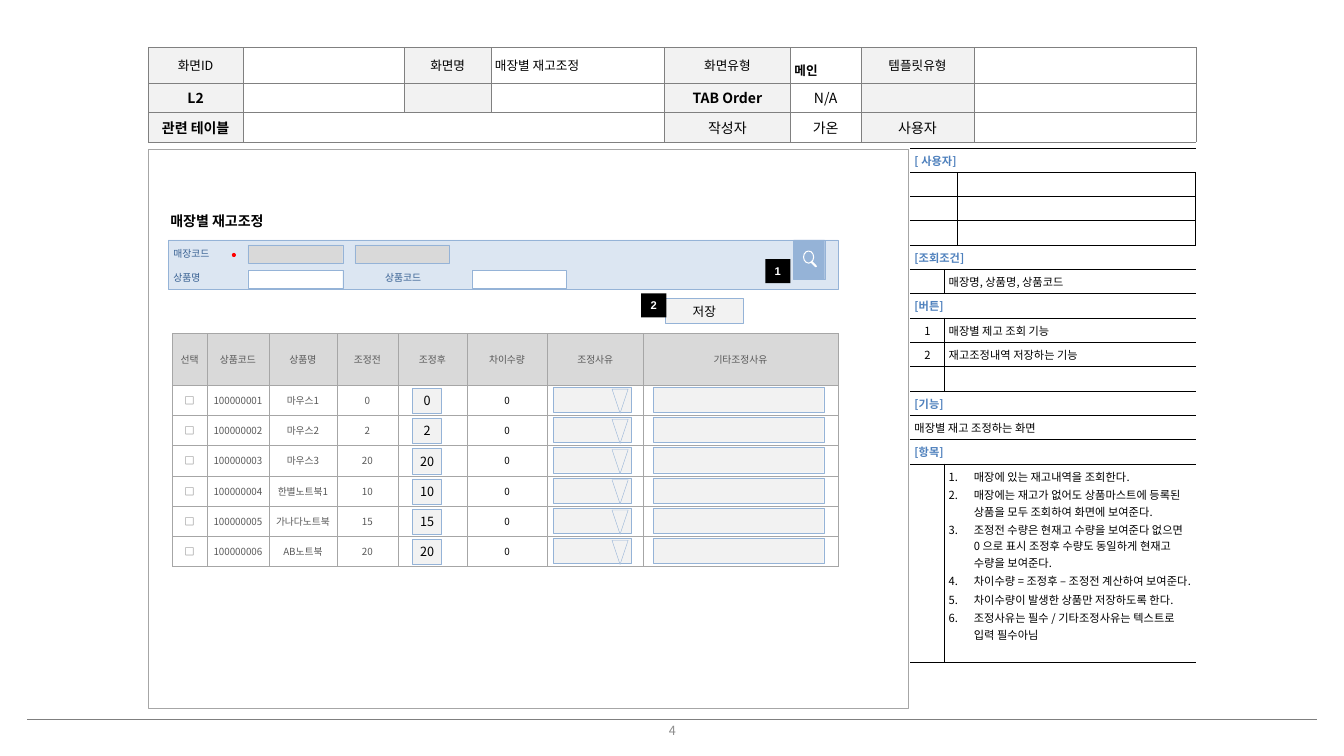
from lxml import etree
from pptx import Presentation
from pptx.dml.color import RGBColor
from pptx.enum.shapes import MSO_CONNECTOR, MSO_SHAPE
from pptx.enum.text import MSO_ANCHOR, PP_ALIGN
from pptx.oxml.ns import qn
from pptx.util import Inches, Pt

LEFT, CENTER = PP_ALIGN.LEFT, PP_ALIGN.CENTER
TOP, MIDDLE = MSO_ANCHOR.TOP, MSO_ANCHOR.MIDDLE
RECTANGLE, OVAL = MSO_SHAPE.RECTANGLE, MSO_SHAPE.OVAL
ROUNDED, TRIANGLE = MSO_SHAPE.ROUNDED_RECTANGLE, MSO_SHAPE.ISOSCELES_TRIANGLE
NO_STYLE_TABLE = "{2D5ABB26-0587-4C30-8999-92F81FD0307C}"


class Theme:
    font, badge_font = "Noto Sans CJK KR", "Arial"
    black, white, red = "000000", "FFFFFF", "FF0000"
    label_fill, disabled, search_fill = "F2F2F2", "D9D9D9", "DCE6F2"
    control_line, header_line, frame_line = "95B3D7", "808080", "A6A6A6"
    heading, field_label, grid_text, page_number = "4F81BD", "376092", "595959", "8C8C8C"
    footer_line = "7F7F7F"
    tiny, small, normal, large = 7, 8, 9, 10
    hairline, rule = 0.25, 0.75


def write(frame, text, size, color=Theme.black, bold=False, align=LEFT, font=Theme.font):
    frame.text = text
    for index, paragraph in enumerate(frame.paragraphs):
        paragraph.alignment = align
        if index:
            paragraph.space_before = Pt(1.6)
        for run in paragraph.runs:
            run.font.size, run.font.bold, run.font.name = Pt(size), bold, font
            run.font.color.rgb = RGBColor.from_string(color)
            etree.SubElement(run.font._element, qn("a:ea"), typeface=font)
        if not paragraph.runs:
            etree.SubElement(paragraph._p, qn("a:endParaRPr"), sz=str(size * 100))


def add_box(kind, left, top, width, height, fill=None, line=None, weight=Theme.hairline):
    shape = slide.shapes.add_shape(kind, Inches(left), Inches(top), Inches(width), Inches(height))
    shape.shadow.inherit = False
    if fill:
        shape.fill.solid()
        shape.fill.fore_color.rgb = RGBColor.from_string(fill)
    else:
        shape.fill.background()
    if line:
        shape.line.color.rgb = RGBColor.from_string(line)
        shape.line.width = Pt(weight)
    else:
        shape.line.fill.background()
    shape.text_frame.word_wrap = False
    shape.text_frame.vertical_anchor = MIDDLE
    return shape


presentation = Presentation()
presentation.slide_width, presentation.slide_height = Inches(13.33), Inches(7.5)
slide = presentation.slides.add_slide(presentation.slide_layouts[6])

# Footer rule and screen frame
footer = slide.shapes.add_connector(
    MSO_CONNECTOR.STRAIGHT, Inches(0.27), Inches(7.14), Inches(13.06), Inches(7.14))
footer.line.color.rgb = RGBColor.from_string(Theme.footer_line)
footer.line.width = Pt(1)
etree.SubElement(footer._element.spPr, qn("a:effectLst"))
add_box(RECTANGLE, 1.47, 1.48, 7.54, 5.55, line=Theme.frame_line)

# Search panel
add_box(RECTANGLE, 1.67, 2.38, 6.64, 0.49, Theme.search_fill, Theme.control_line)
for left, top, fill in [(2.46, 2.43, Theme.disabled), (3.52, 2.43, Theme.disabled),
                        (2.46, 2.68, Theme.white), (4.68, 2.68, Theme.white)]:
    add_box(RECTANGLE, left, top, 0.94, 0.18, fill, Theme.control_line)
add_box(OVAL, 2.3, 2.51, 0.04, 0.04, Theme.red)

# Search button with magnifier
add_box(RECTANGLE, 7.87, 2.38, 0.31, 0.39, Theme.control_line, Theme.control_line)
handle = add_box(ROUNDED, 8.03, 2.61, 0.08, 0.02, Theme.white)
handle.adjustments[0] = 0.5
handle.rotation = 45
add_box(OVAL, 7.97, 2.49, 0.1, 0.12, line=Theme.white, weight=Theme.rule)

# Tables
stock = [("마우스1", 0), ("마우스2", 2), ("마우스3", 20),
         ("한별노트북1", 10), ("가나다노트북", 15), ("AB노트북", 20)]
instructions = "\n".join([
    "매장에 있는 재고내역을 조회한다.",
    "매장에는 재고가 없어도 상품마스트에 등록된 상품을 모두 조회하여 화면에 보여준다.",
    "조정전 수량은 현재고 수량을 보여준다 없으면 0 으로 표시 조정후 수량도 동일하게 현재고 수량을 보여준다.",
    "차이수량 = 조정후 – 조정전 계산하여 보여준다.",
    "차이수량이 발생한 상품만 저장하도록 한다.",
    "조정사유는 필수 / 기타조정사유는 텍스트로 입력 필수아님",
])
# Each style gives fill, size, colour, bold, alignment
header_table = dict(
    at=(1.47, 0.47), widths=[0.94, 1.6, 0.86, 1.72, 1.25, 0.7, 1.12, 2.2],
    heights=[0.35, 0.29, 0.3], inset=0.04, anchor=MIDDLE,
    line=Theme.header_line, weight=Theme.hairline, grid=True, merges=[(2, 1, 3)],
    rows=[["화면ID", "", "화면명", "매장별 재고조정", "화면유형", "메인", "템플릿유형", ""],
          ["L2", "", "", "", "TAB Order", "N/A", "", ""],
          ["관련 테이블", "", "", "", "작성자", "가온", "사용자", ""]],
    style=lambda row, column, text: (
        Theme.white if column % 2 else Theme.label_fill,
        Theme.large if row else Theme.normal, Theme.black,
        text in ("메인", "L2", "TAB Order", "관련 테이블"),
        LEFT if row == 0 and column in (3, 5) else CENTER))
stock_table = dict(
    at=(1.71, 3.31), widths=[0.34, 0.62, 0.67, 0.61, 0.68, 0.8, 0.95, 1.93],
    heights=[0.51] + [0.3] * len(stock), inset=0, anchor=MIDDLE,
    line=Theme.frame_line, weight=Theme.hairline, grid=True, merges=[],
    rows=[["선택", "상품코드", "상품명", "조정전", "조정후", "차이수량", "조정사유", "기타조정사유"]]
    + [["□", str(100000001 + index), name, str(count), "", "0", "", ""]
       for index, (name, count) in enumerate(stock)],
    style=lambda row, column, text: (
        Theme.white if row else Theme.disabled, Theme.tiny,
        Theme.black if row and column == 5 else Theme.grid_text, False, CENTER))
description_table = dict(
    at=(9.03, 1.47), widths=[0.34, 0.13, 2.36], heights=[0.24] * 13 + [1.97],
    inset=0.04, anchor=TOP, line=Theme.black, weight=Theme.rule, grid=False,
    merges=[(row, 0, 2) for row in (0, 4, 6, 10, 11, 12)]
    + [(row, 0, 1) for row in (1, 2, 3)] + [(row, 1, 2) for row in (5, 7, 8, 9, 13)],
    rows=[["[ 사용자]", "", ""], [""] * 3, [""] * 3, [""] * 3,
          ["[조회조건]", "", ""], ["", "매장명, 상품명, 상품코드", ""],
          ["[버튼]", "", ""], ["1", "매장별 제고 조회 기능", ""],
          ["2", "재고조정내역 저장하는 기능", ""], [""] * 3,
          ["[기능]", "", ""], ["매장별 재고 조정하는 화면", "", ""],
          ["[항목]", "", ""], ["", instructions, ""]],
    style=lambda row, column, text: (
        Theme.white, Theme.small, Theme.heading if text.startswith("[") else Theme.black,
        text.startswith("["), CENTER if text.isdigit() else LEFT))

for spec in (header_table, stock_table, description_table):
    rows, widths, heights = spec["rows"], spec["widths"], spec["heights"]
    graphic = slide.shapes.add_table(
        len(rows), len(widths), Inches(spec["at"][0]), Inches(spec["at"][1]),
        Inches(sum(widths)), Inches(sum(heights)))
    table = graphic.table
    table.first_row = table.horz_banding = False
    table._tbl.tblPr.find(qn("a:tableStyleId")).text = NO_STYLE_TABLE
    for column, width in zip(table.columns, widths):
        column.width = Inches(width)
    for row, height in zip(table.rows, heights):
        row.height = Inches(height)
    for row, first, last in spec["merges"]:
        table.cell(row, first).merge(table.cell(row, last))
    dividers = [(row, first or last + 1) for row, first, last in spec["merges"]]
    for row, texts in enumerate(rows):
        for column, text in enumerate(texts):
            cell = table.cell(row, column)
            fill, size, color, bold, align = spec["style"](row, column, text)
            cell.fill.solid()
            cell.fill.fore_color.rgb = RGBColor.from_string(fill)
            cell.vertical_anchor = spec["anchor"]
            cell.margin_left = cell.margin_right = Inches(spec["inset"])
            cell.margin_top = cell.margin_bottom = Inches(spec["inset"])
            write(cell.text_frame, text, size, color, bold, align)
            edges = ["lnT", "lnB"]
            if spec["grid"]:
                edges = ["lnL", "lnR"] + edges
            elif (row, column) in dividers:
                edges = ["lnL"] + edges
            for position, edge in enumerate(edges):
                border = etree.Element(qn("a:" + edge), w=str(Pt(spec["weight"])))
                solid = etree.SubElement(border, qn("a:solidFill"))
                etree.SubElement(solid, qn("a:srgbClr"), val=spec["line"])
                cell._tc.get_or_add_tcPr().insert(position, border)
    if spec is header_table:
        table.cell(0, 5).text_frame.paragraphs[0].line_spacing = 1.5

# Numbered instructions in the last description row
for paragraph in table.cell(13, 1).text_frame.paragraphs:
    properties = paragraph._p.get_or_add_pPr()
    properties.set("marL", str(Inches(0.25)))
    properties.set("indent", str(Inches(-0.25)))
    etree.SubElement(properties, qn("a:buAutoNum"), type="arabicPeriod")

# Titles, field labels and page number
for text, left, top, width, height, size, color, bold, align in [
        ("매장별 재고조정", 1.69, 2.11, 1.03, 0.17, Theme.large, Theme.black, True, LEFT),
        ("매장코드", 1.72, 2.46, 0.82, 0.12, Theme.tiny, Theme.field_label, False, LEFT),
        ("상품명", 1.72, 2.69, 0.82, 0.12, Theme.tiny, Theme.field_label, False, LEFT),
        ("상품코드", 3.82, 2.69, 0.82, 0.12, Theme.tiny, Theme.field_label, False, LEFT),
        ("4", 6.25, 7.14, 0.84, 0.21, Theme.normal, Theme.page_number, False, CENTER)]:
    label = slide.shapes.add_textbox(Inches(left), Inches(top), Inches(width), Inches(height))
    frame = label.text_frame
    frame.margin_left = frame.margin_right = frame.margin_top = frame.margin_bottom = 0
    frame.word_wrap = True
    frame.vertical_anchor = MIDDLE
    write(frame, text, size, color, bold, align)

# Save button and numbered badges
save_button = add_box(RECTANGLE, 6.6, 2.96, 0.77, 0.25, Theme.label_fill, Theme.control_line)
write(save_button.text_frame, "저장", Theme.normal, align=CENTER)
for number, left, top in [("1", 7.59, 2.57), ("2", 6.36, 2.91)]:
    badge = add_box(RECTANGLE, left, top, 0.25, 0.24, Theme.black)
    write(badge.text_frame, number, Theme.small, Theme.white, True, CENTER, Theme.badge_font)

# Input controls of each stock row
for index, (name, count) in enumerate(stock):
    top = 3.84 + 0.3 * index
    for left, width in [(5.49, 0.77), (6.48, 1.69)]:
        add_box(RECTANGLE, left, top, width, 0.25, Theme.label_fill, Theme.control_line)
    arrow = add_box(TRIANGLE, 6.07, top + 0.02, 0.16, 0.24, Theme.label_fill, Theme.control_line)
    arrow.rotation = 180
    quantity = add_box(RECTANGLE, 4.09, top + 0.01, 0.29, 0.25, Theme.label_fill, Theme.control_line)
    write(quantity.text_frame, str(count), Theme.normal, align=CENTER)

presentation.save("out.pptx")
